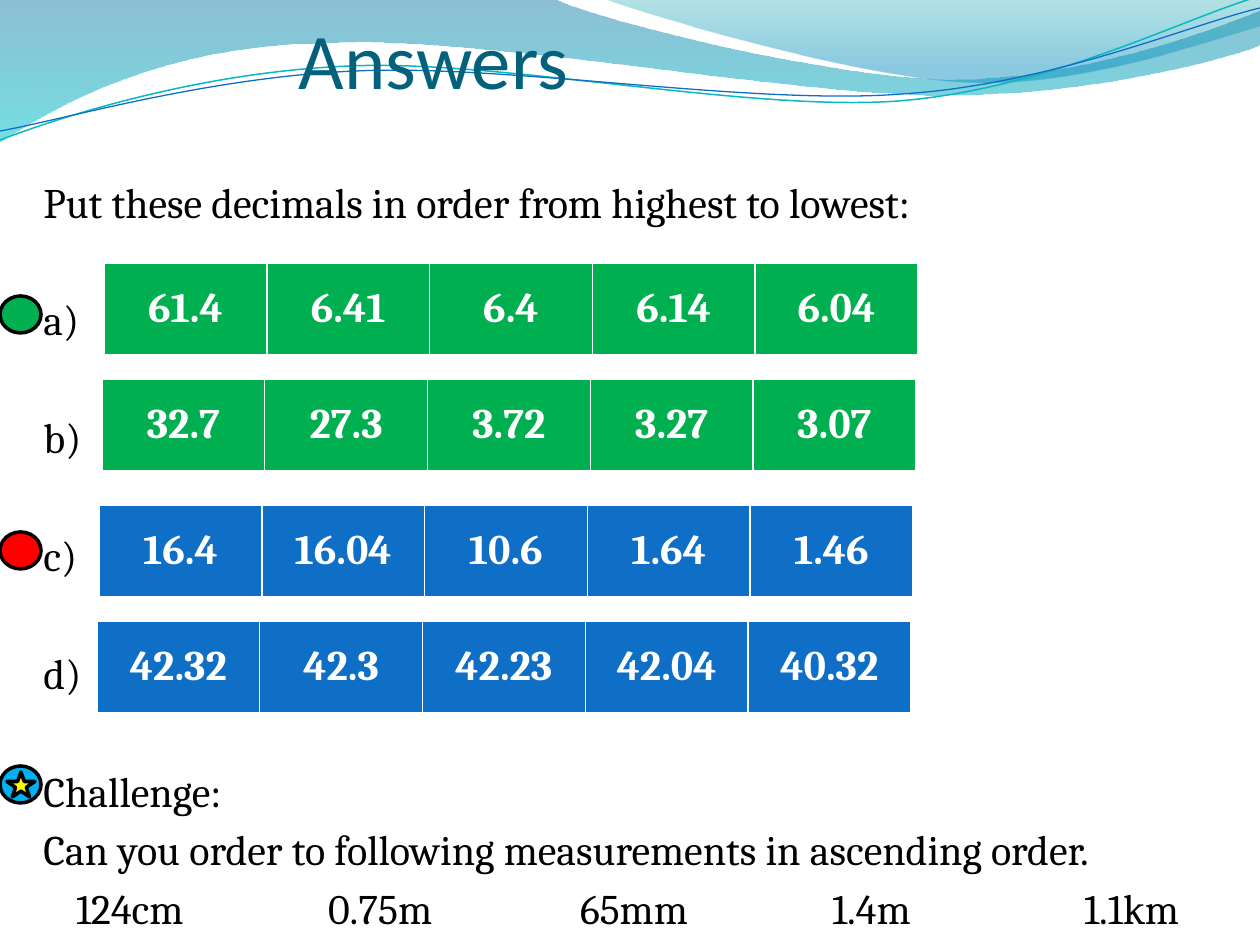
from lxml.etree import SubElement
from pptx import Presentation
from pptx.dml.color import RGBColor
from pptx.enum.shapes import MSO_SHAPE as SHAPE
from pptx.enum.text import MSO_ANCHOR as ANCHOR, PP_ALIGN as ALIGN
from pptx.oxml.ns import qn
from pptx.util import Pt

PX = 914400 / 126
C = {"title": "04617B", "black": "000000", "white": "FFFFFF", "green": "00B050",
     "blue": "0F6FC6", "red": "FF0000", "sky": "00B0F0", "yellow": "FFFF00",
     "teal": "0AB8BF", "deep": "0074A1", "cyan": "00C6CF", "sea": "00A1A9",
     "azure": "008BBF"}
C = {name: RGBColor.from_string(value) for name, value in C.items()}


def px(*values):
    return [round(v * PX) for v in values]


def style(target, **values):
    for name, value in values.items():
        setattr(target, name, value)


prs = Presentation()
prs.slide_width, prs.slide_height = px(1260, 945)
s = prs.slides.add_slide(prs.slide_layouts[6])

waves = [
    ([(0, 0), (554, -1), (600, 21, 837, 79, 955, 79), (1074, 79, 1207, 33, 1260, 11),
      (1261, 45), (1239, 55, 1096, 96, 940, 95), (784, 95, 481, 35, 324, 43),
      (163, 45, 58, 105, -1, 142)],
     [("deep", 0, 45), ("cyan", 1, 55)], None),
    ([(604, -1), (642, 14, 859, 78, 969, 82), (1079, 87, 1211, 40, 1260, 26), (1260, 0)],
     [("sea", 0, 30), ("azure", 0.8, 45)], None),
    ([(0, 140), (60, 117, 199, 72, 349, 66), (497, 59, 747, 112, 898, 101),
      (1049, 89, 1182, 19, 1257, -3)], None, ("teal", 0.85)),
    ([(0, 131), (59, 121, 207, 77, 357, 71), (508, 64, 752, 106, 903, 94),
      (1053, 84, 1186, 26, 1260, 8)], None, ("blue", 0.75)),
]
for segments, stops, line in waves:
    builder = s.shapes.build_freeform(*px(*segments[0]), scale=1.0)
    builder.add_line_segments([px(*seg[-2:]) for seg in segments[1:]], close=stops is not None)
    sp = builder.convert_to_shape()
    for seg, node in zip(segments[1:], list(sp._element.spPr.iter(qn("a:lnTo")))):
        if len(seg) == 6:
            node.tag = qn("a:cubicBezTo")
            for i, k in enumerate((0, 2)):
                x, y = px(*seg[k:k + 2])
                pt = SubElement(node, qn("a:pt"), x=str(x - sp.left), y=str(y - sp.top))
                node.insert(i, pt)
    sp.shadow.inherit = False
    if stops:
        sp.fill.gradient()
        sp.fill.gradient_angle = 270
        for stop, (color, position, alpha) in zip(sp.fill.gradient_stops, stops):
            stop.color.rgb = C[color]
            stop.position = position
        for clr, (color, position, alpha) in zip(sp._element.spPr.iter(qn("a:srgbClr")), stops):
            SubElement(clr, qn("a:alpha"), val=str(alpha * 1000))
        sp.line.fill.background()
    else:
        sp.fill.background()
        sp.line.color.rgb = C[line[0]]
        sp.line.width = Pt(line[1])

tf = s.shapes.add_textbox(*px(299, 33, 878, 72)).text_frame
style(tf, word_wrap=True, vertical_anchor=ANCHOR.BOTTOM, margin_left=0,
      margin_right=0, margin_bottom=0)
r = tf.paragraphs[0].add_run()
r.text = "Answers"
style(r.font, size=Pt(45), name="Calibri")
r.font.color.rgb = C["title"]

tf = s.shapes.add_textbox(*px(31, 170, 1193, 775)).text_frame
tf.word_wrap = True
NEAR, FAR = 4.8, 38.5
lines = [("Put these decimals in order from highest to lowest:", 0),
         ("a)", FAR), ("b)", FAR), ("c)", FAR), ("d)", FAR), ("Challenge:", FAR),
         ("Can you order to following measurements in ascending order.", NEAR),
         ("124cm\t0.75m\t65mm\t1.4m\t1.1km", NEAR)]
for i, (text, before) in enumerate(lines):
    p = tf.add_paragraph() if i else tf.paragraphs[0]
    p.space_before = Pt(before)
    if "\t" in text:
        p.alignment = ALIGN.CENTER
        tabs = SubElement(p._p.get_or_add_pPr(), qn("a:tabLst"))
        for k in range(1, 5):
            SubElement(tabs, qn("a:tab"), pos=str(px(252 * k)[0]), algn="l")
    r = p.add_run()
    r.text = text
    style(r.font, size=Pt(24), name="Cambria")
    r.font.color.rgb = C["black"]

markers = [(SHAPE.OVAL, 0, 296, 41, 37, "green"), (SHAPE.OVAL, 0, 532, 41, 37, "red"),
           (SHAPE.OVAL, 0, 766, 41, 37, "sky"), (SHAPE.STAR_5_POINT, 7, 772, 28, 25, "yellow")]
for kind, x, y, w, h, color in markers:
    sp = s.shapes.add_shape(kind, *px(x, y, w, h))
    sp.shadow.inherit = False
    sp.fill.solid()
    sp.fill.fore_color.rgb = C[color]
    sp.line.color.rgb = C["black"]
    sp.line.width = Pt(2)

tables = [(104, 262, "green", "61.4 6.41 6.4 6.14 6.04"),
          (102, 378, "green", "32.7 27.3 3.72 3.27 3.07"),
          (99, 504, "blue", "16.4 16.04 10.6 1.64 1.46"),
          (97, 620, "blue", "42.32 42.3 42.23 42.04 40.32")]
for x, y, color, numbers in tables:
    values = numbers.split()
    table = s.shapes.add_table(1, len(values), *px(x, y, 814, 94)).table
    table.horz_banding = False
    for cell, value in zip(table.rows[0].cells, values):
        tcPr = cell._tc.get_or_add_tcPr()
        for side, width in {"L": 1, "R": 1, "T": 3, "B": 3}.items():
            ln = SubElement(tcPr, qn("a:ln" + side), w=str(Pt(width)))
            SubElement(SubElement(ln, qn("a:solidFill")), qn("a:srgbClr"), val=str(C["white"]))
        cell.fill.solid()
        cell.fill.fore_color.rgb = C[color]
        style(cell, vertical_anchor=ANCHOR.MIDDLE, margin_left=px(9)[0],
              margin_right=px(9)[0], margin_top=0, margin_bottom=0)
        p = cell.text_frame.paragraphs[0]
        p.alignment = ALIGN.CENTER
        r = p.add_run()
        r.text = value
        style(r.font, size=Pt(24), name="Cambria", bold=True)
        r.font.color.rgb = C["white"]

prs.save("out.pptx")
